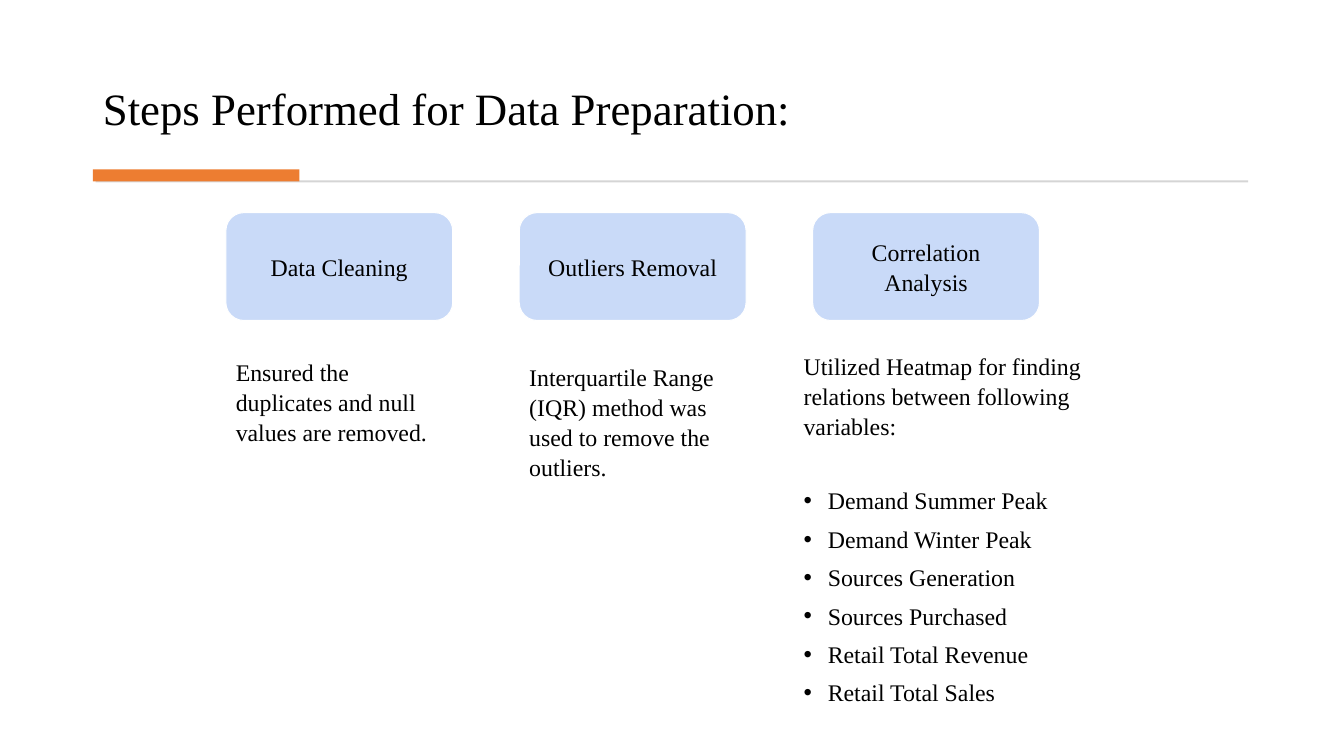
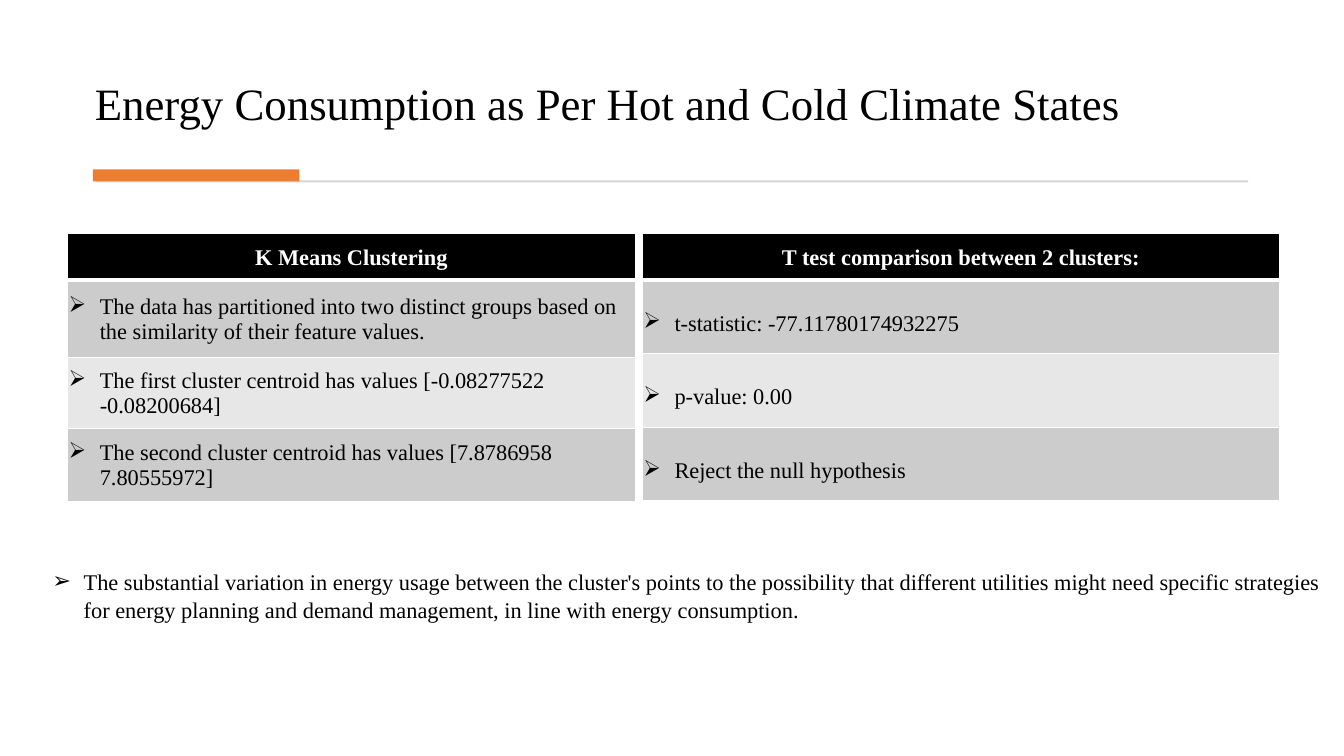
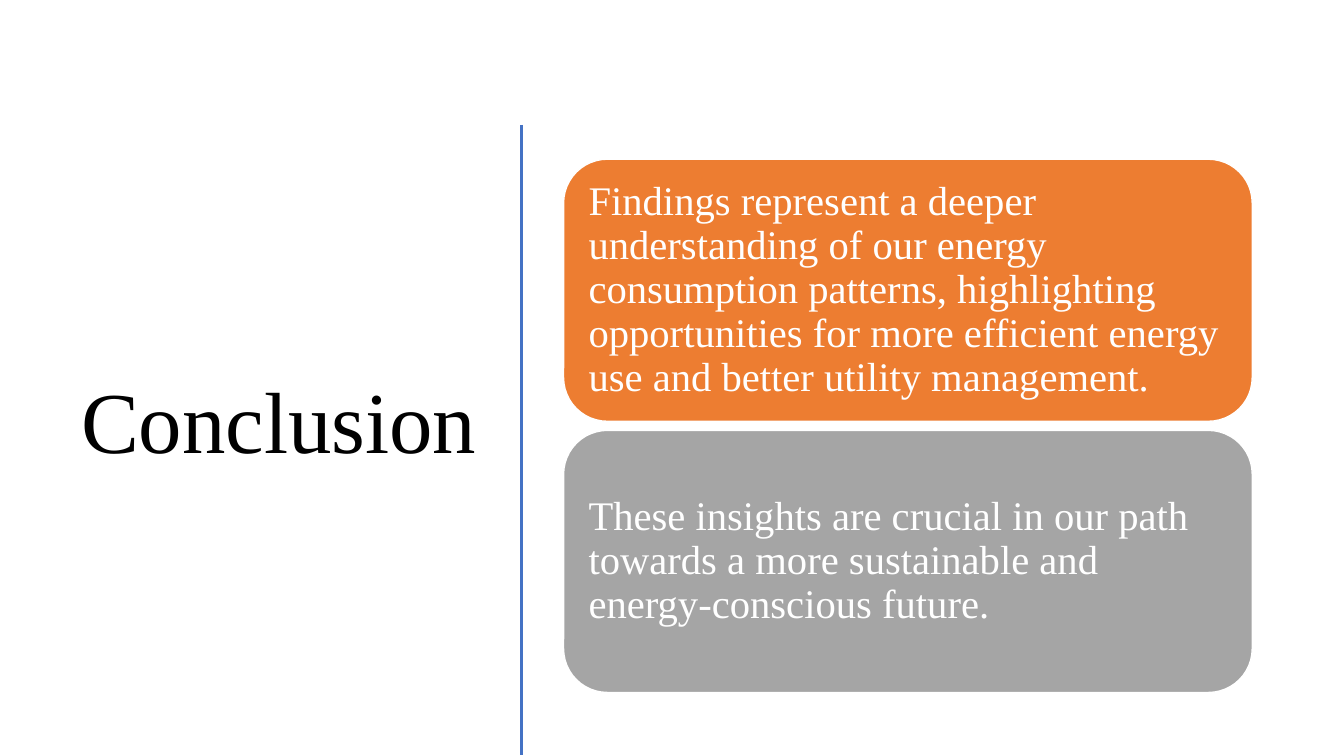
from lxml import etree
from pptx import Presentation
from pptx.dml.color import RGBColor
from pptx.enum.shapes import MSO_CONNECTOR, MSO_SHAPE
from pptx.enum.text import MSO_ANCHOR, MSO_AUTO_SIZE, PP_ALIGN
from pptx.oxml.ns import qn
from pptx.util import Inches, Pt

RECT, ROUND = MSO_SHAPE.RECTANGLE, MSO_SHAPE.ROUNDED_RECTANGLE
LINE = MSO_CONNECTOR.STRAIGHT
TOP, MID, LOW = MSO_ANCHOR.TOP, MSO_ANCHOR.MIDDLE, MSO_ANCHOR.BOTTOM
LEFT, RIGHT, CENTER = PP_ALIGN.LEFT, PP_ALIGN.RIGHT, PP_ALIGN.CENTER
FIXED = MSO_AUTO_SIZE.NONE

FONT = "Times New Roman"
BLACK, WHITE = "000000", "FFFFFF"
ORANGE, GRAY, BLUE = "ED7D31", "A5A5A5", "4472C4"
PALE, RULE = "C9DAF8", "D5D5D5"
DARK, LIGHT = "CCCCCC", "E7E7E7"
ARROW, DOT = "➢", "•"


def color(code):
    return RGBColor.from_string(code)


class Deck:
    def __init__(self):
        self.file = Presentation()
        self.file.slide_width = Inches(13.33)
        self.file.slide_height = Inches(7.5)
        self.slide = None

    def page(self, layout):
        self.slide = self.file.slides.add_slide(self.file.slide_layouts[layout])

    def place(self, shape, area):
        shape.left, shape.top, shape.width, shape.height = map(Inches, area)

    def frame(self, shape, anchor, pad=None):
        frame = shape.text_frame
        frame.word_wrap = True
        frame.auto_size = FIXED
        frame.vertical_anchor = anchor
        if pad is not None:
            frame.margin_left = frame.margin_right = Inches(pad)
            frame.margin_top = frame.margin_bottom = Inches(pad)
        return frame

    def style(self, para, size, code=BLACK, align=LEFT, lead=1.05, after=0, bold=False):
        para.alignment = align
        para.line_spacing = lead
        para.space_before = Pt(0)
        para.space_after = Pt(after)
        for run in para.runs:
            font = run.font
            font.name, font.size, font.bold = FONT, Pt(size), bold
            font.color.rgb = color(code)

    def bullet(self, para, mark, indent):
        props = para._p.get_or_add_pPr()
        props.set("marL", str(Inches(indent)))
        props.set("indent", str(-Inches(indent)))
        if mark:
            etree.SubElement(props, qn("a:buChar")).set("char", mark)
        else:
            etree.SubElement(props, qn("a:buNone"))

    def title(self, text, area, anchor, size=32, align=LEFT, lead=0.9):
        shape = self.slide.shapes.title
        self.place(shape, area)
        frame = self.frame(shape, anchor)
        frame.text = text
        self.style(frame.paragraphs[0], size, align=align, lead=lead)

    def shape(self, kind, area, fill, edge=0):
        shape = self.slide.shapes.add_shape(kind, *map(Inches, area))
        shape.shadow.inherit = False
        shape.fill.solid()
        shape.fill.fore_color.rgb = color(fill)
        if edge:
            shape.line.color.rgb = color(WHITE)
            shape.line.width = Pt(edge)
        else:
            shape.line.fill.background()
        return shape

    def rule(self):
        self.shape(RECT, (0.95, 1.79, 11.43, 0.02), RULE)
        self.shape(RECT, (0.92, 1.68, 2.05, 0.12), ORANGE)

    def card(self, text, area, fill, pad, edge, **look):
        shape = self.shape(ROUND, area, fill, edge)
        shape.adjustments[0] = 0.167
        frame = self.frame(shape, MID, pad)
        frame.text = text
        self.style(frame.paragraphs[0], **look)

    def note(self, text, area):
        box = self.slide.shapes.add_textbox(*map(Inches, area))
        frame = self.frame(box, TOP, 0.1)
        frame.text = text
        self.style(frame.paragraphs[0], 17)

    def body(self, items, area, size, mark, indent, intro=None):
        shape = self.slide.placeholders[1]
        self.place(shape, area)
        frame = self.frame(shape, TOP, 0.1)
        lines = ([intro] if intro else []) + items
        frame.text = "\n".join(lines)
        for para in frame.paragraphs:
            lead = para.text == intro
            self.bullet(para, None if lead else mark, 0 if lead else indent)
            self.style(para, size, after=32 if lead else 6)

    def border(self, cell, widths):
        props = cell._tc.get_or_add_tcPr()
        for side, width in zip("LRTB", widths):
            line = etree.SubElement(props, qn("a:ln" + side), w=str(Pt(width)))
            fill = etree.SubElement(line, qn("a:solidFill"))
            etree.SubElement(fill, qn("a:srgbClr"), val=WHITE)

    def table(self, rows, area, heights, lead):
        grid = self.slide.shapes.add_table(len(rows), 1, *map(Inches, area)).table
        for i, (text, height) in enumerate(zip(rows, heights)):
            grid.rows[i].height = Inches(height)
            cell = grid.cell(i, 0)
            self.border(cell, (1, 1, 3 if i == 1 else 1, 3 if i == 0 else 1))
            cell.fill.solid()
            cell.fill.fore_color.rgb = color(BLACK if i == 0 else DARK if i % 2 else LIGHT)
            cell.vertical_anchor = MID
            cell.margin_left = cell.margin_right = cell.margin_top = Inches(0.01)
            cell.margin_bottom = 0
            cell.text = text
            para = cell.text_frame.paragraphs[0]
            if i == 0:
                self.style(para, 16, WHITE, CENTER, 1, bold=True)
            else:
                self.bullet(para, ARROW, 0.31)
                self.style(para, 16, lead=lead)

    def line(self, start, end, code, width):
        line = self.slide.shapes.add_connector(LINE, *map(Inches, start + end))
        line.line.color.rgb = color(code)
        line.line.width = Pt(width)
        etree.SubElement(line._element.spPr, qn("a:effectLst"))


def steps(deck):
    deck.page(1)
    deck.title("Steps Performed for Data Preparation:", (0.92, 0.28, 11.49, 1.11), LOW)
    deck.rule()
    names = ["Data Cleaning", "Outliers Removal", "Correlation Analysis"]
    for i, name in enumerate(names):
        area = (2.24 + 2.91 * i, 2.11, 2.25, 1.07)
        deck.card(name, area, PALE, 0.1, 0.75, size=17, align=CENTER)
    deck.note("Ensured the duplicates and null values are removed.", (2.24, 3.43, 2.26, 1))
    deck.note("Interquartile Range (IQR) method was used to remove the outliers.",
              (5.15, 3.48, 2.35, 2.8))
    items = ["Demand Summer Peak", "Demand Winter Peak", "Sources Generation",
             "Sources Purchased", "Retail Total Revenue", "Retail Total Sales"]
    deck.body(items, (7.87, 3.37, 3.23, 3.5), 17, DOT, 0.24,
              "Utilized Heatmap for finding relations between following variables:")


def climate(deck):
    deck.page(1)
    deck.title("Energy Consumption as Per Hot and Cold Climate States",
               (0.84, 0.7, 12.4, 0.94), TOP, lead=1)
    deck.rule()
    means = ["K Means Clustering",
             "The data has partitioned into two distinct groups based on the similarity "
             "of their feature values.",
             "The first cluster centroid has values [-0.08277522 -0.08200684]",
             "The second cluster centroid has values [7.8786958 7.80555972]"]
    test = ["T test comparison between 2 clusters:", "t-statistic: -77.11780174932275",
            "p-value: 0.00", "Reject the null hypothesis"]
    deck.table(means, (0.67, 2.32, 5.63, 2.66), (0.46, 0.77, 0.7, 0.73), 1)
    deck.table(test, (6.37, 2.32, 6.32, 2.65), (0.46, 0.73, 0.73, 0.73), 1.5)
    deck.body(["The substantial variation in energy usage between the cluster's points to the "
               "possibility that different utilities might need specific strategies for energy "
               "planning and demand management, in line with energy consumption."],
              (0.42, 5.52, 12.82, 0.74), 16, ARROW, 0.31)


def finish(deck):
    deck.page(5)
    deck.title("Conclusion", (0.52, 1.17, 4.31, 6.11), MID, 62, RIGHT)
    deck.line((5.17, 1.24), (5.17, 7.49), BLUE, 2)
    cards = [("Findings represent a deeper understanding of our energy consumption patterns, "
              "highlighting opportunities for more efficient energy use and better utility "
              "management.", ORANGE),
             ("These insights are crucial in our path towards a more sustainable and "
              "energy-conscious future.", GRAY)]
    for i, (text, fill) in enumerate(cards):
        deck.card(text, (5.59, 1.58 + 2.69 * i, 6.83, 2.6), fill, 0.12, 1,
                  size=29, code=WHITE, lead=0.9)


def main():
    deck = Deck()
    steps(deck)
    climate(deck)
    finish(deck)
    deck.file.save("out.pptx")


if __name__ == "__main__":
    main()
